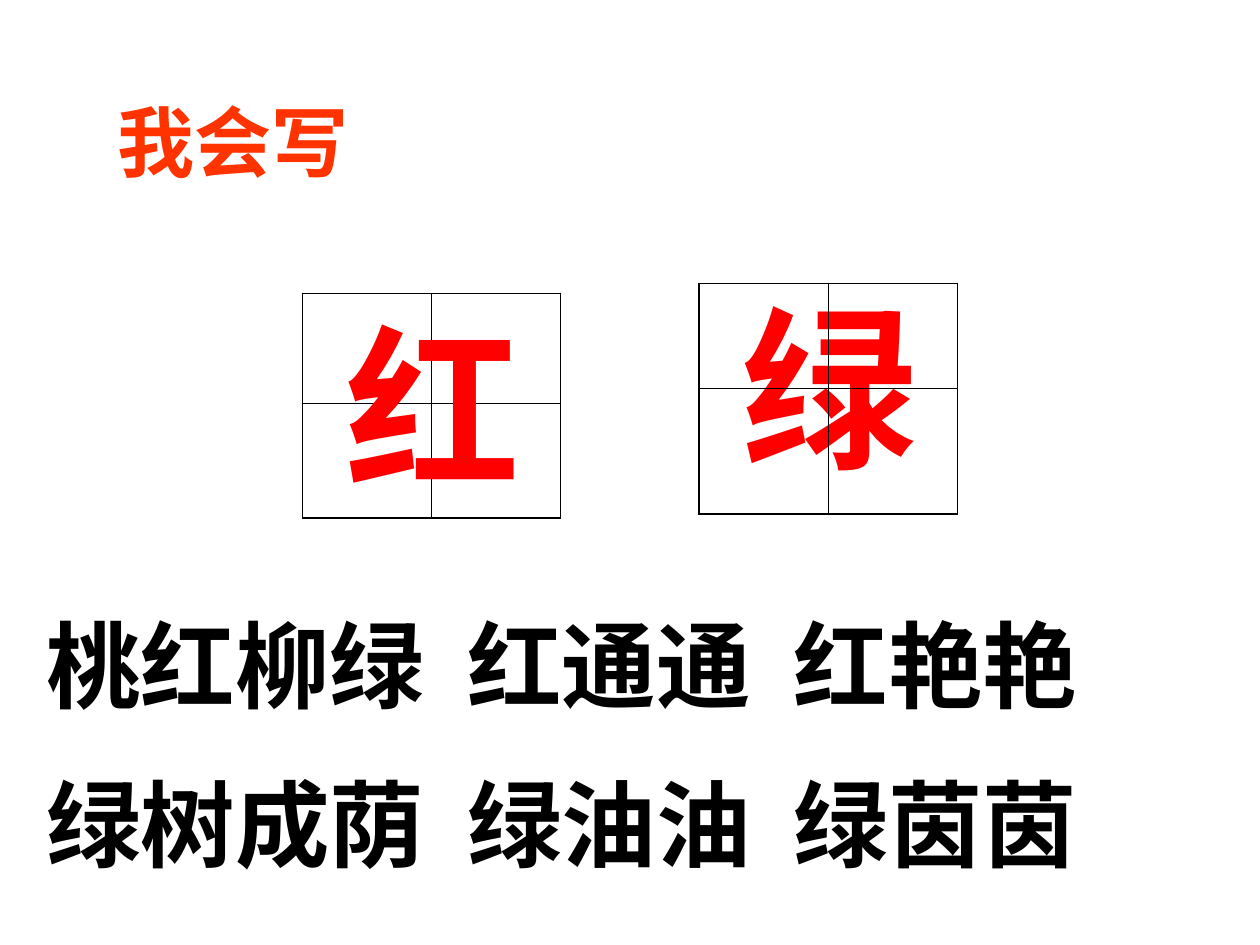
import pptx
import pptx.dml.color
import pptx.enum.text
import pptx.oxml
import pptx.oxml.ns
import pptx.util
from pptx.util import Inches

rgb = pptx.dml.color.RGBColor.from_string
CJK_FONT = "Noto Sans CJK SC"
OUTER, INNER = 1.08, 0.45


def write(box, text, size, font, colour):
    """Put one bold run into the first paragraph of a box."""
    span = box.text_frame.paragraphs[0].add_run()
    span.text = text
    span.font.size = pptx.util.Pt(size)
    span.font.bold = True
    span.font.name = font
    span.font.color.rgb = rgb(colour)
    properties = span._r.get_or_add_rPr()
    properties.set("lang", "zh-CN")
    east_asian = pptx.oxml.parse_xml(
        f'<a:ea {pptx.oxml.ns.nsdecls("a")} typeface="{CJK_FONT}"/>')
    properties.find(pptx.oxml.ns.qn("a:latin")).addnext(east_asian)


def add_writing_grid(left, top, row_heights):
    """Add a two by two practice square, thicker on the outside."""
    frame = page.shapes.add_table(2, 2, Inches(left), Inches(top),
                                  Inches(2.05), Inches(sum(row_heights)))
    grid = frame.table
    grid.first_row = grid.horz_banding = False
    for row, height in enumerate(row_heights):
        grid.rows[row].height = Inches(height)
        for column in range(2):
            grid.columns[column].width = Inches(2.05 / 2)
            cell = grid.cell(row, column)
            cell.fill.background()
            outside = {"L": column == 0, "R": column == 1,
                       "T": row == 0, "B": row == 1}
            for index, (side, is_outer) in enumerate(outside.items()):
                width = pptx.util.Pt(OUTER if is_outer else INNER)
                border = pptx.oxml.parse_xml(
                    f'<a:ln{side} {pptx.oxml.ns.nsdecls("a")} w="{width}">'
                    '<a:solidFill><a:srgbClr val="000000"/></a:solidFill>'
                    f'</a:ln{side}>')
                cell._tc.get_or_add_tcPr().insert(index, border)


deck = pptx.Presentation()
deck.slide_width, deck.slide_height = Inches(10), Inches(7.5)
page = deck.slides.add_slide(deck.slide_layouts[5])

# Title
title = page.shapes.title
title.left, title.top = Inches(0.83), Inches(0.52)
title.width, title.height = Inches(2.75), Inches(1.2)
title.text_frame.auto_size = pptx.enum.text.MSO_AUTO_SIZE.NONE
title.text_frame.vertical_anchor = pptx.enum.text.MSO_ANCHOR.MIDDLE
title.text_frame.paragraphs[0].alignment = pptx.enum.text.PP_ALIGN.LEFT
write(title, "我会写", 44, "Arial", "FF3300")

# Word rows, with the words lined up on tab stops
word_rows = [
    (4.77, ["桃红柳绿", "红通通", "红艳艳"]),
    (6.03, ["绿树成荫", "绿油油", "绿茵茵"]),
]
for top, words in word_rows:
    box = page.shapes.add_textbox(Inches(0.27), Inches(top), Inches(9.57), Inches(1))
    box.text_frame.word_wrap = True
    tabs = "".join(f'<a:tab pos="{Inches(stop)}" algn="l"/>' for stop in (3.34, 5.93))
    para = box.text_frame.paragraphs[0]
    para._p.get_or_add_pPr().append(pptx.oxml.parse_xml(
        f'<a:tabLst {pptx.oxml.ns.nsdecls("a")}>{tabs}</a:tabLst>'))
    write(box, "\t".join(words), 54, CJK_FONT, "000000")

# Characters to practise: the first lies over its grid, the second under
add_writing_grid(2.4, 2.33, [0.87, 0.91])
for character, left, top, width in [("红", 2.64, 2.33, 1.57), ("绿", 5.79, 2.18, 1.65)]:
    box = page.shapes.add_textbox(Inches(left), Inches(top), Inches(width), Inches(1.77))
    box.text_frame.word_wrap = True
    write(box, character, 100, "Arial", "FF0000")
add_writing_grid(5.55, 2.25, [0.83, 1])

deck.save("out.pptx")
